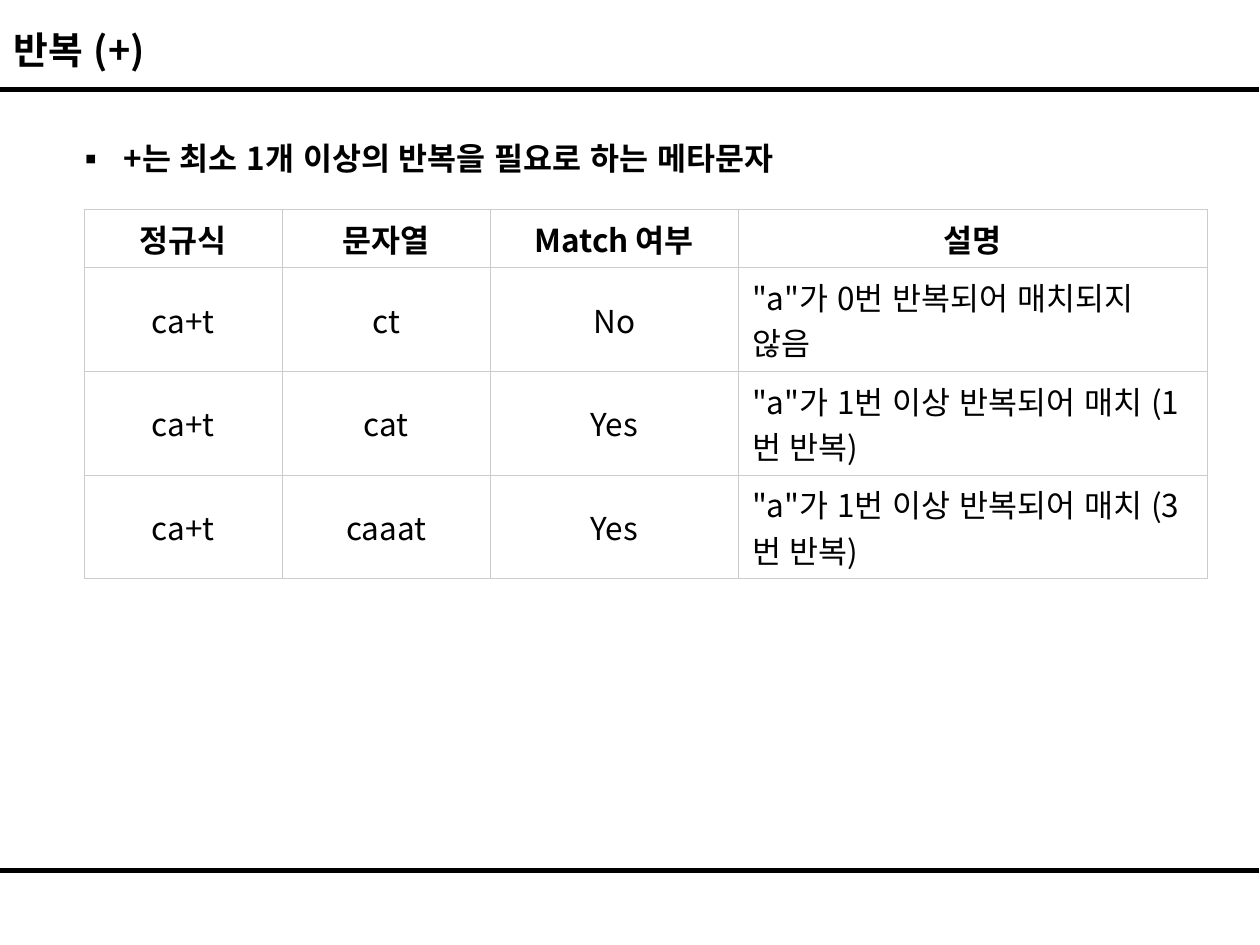
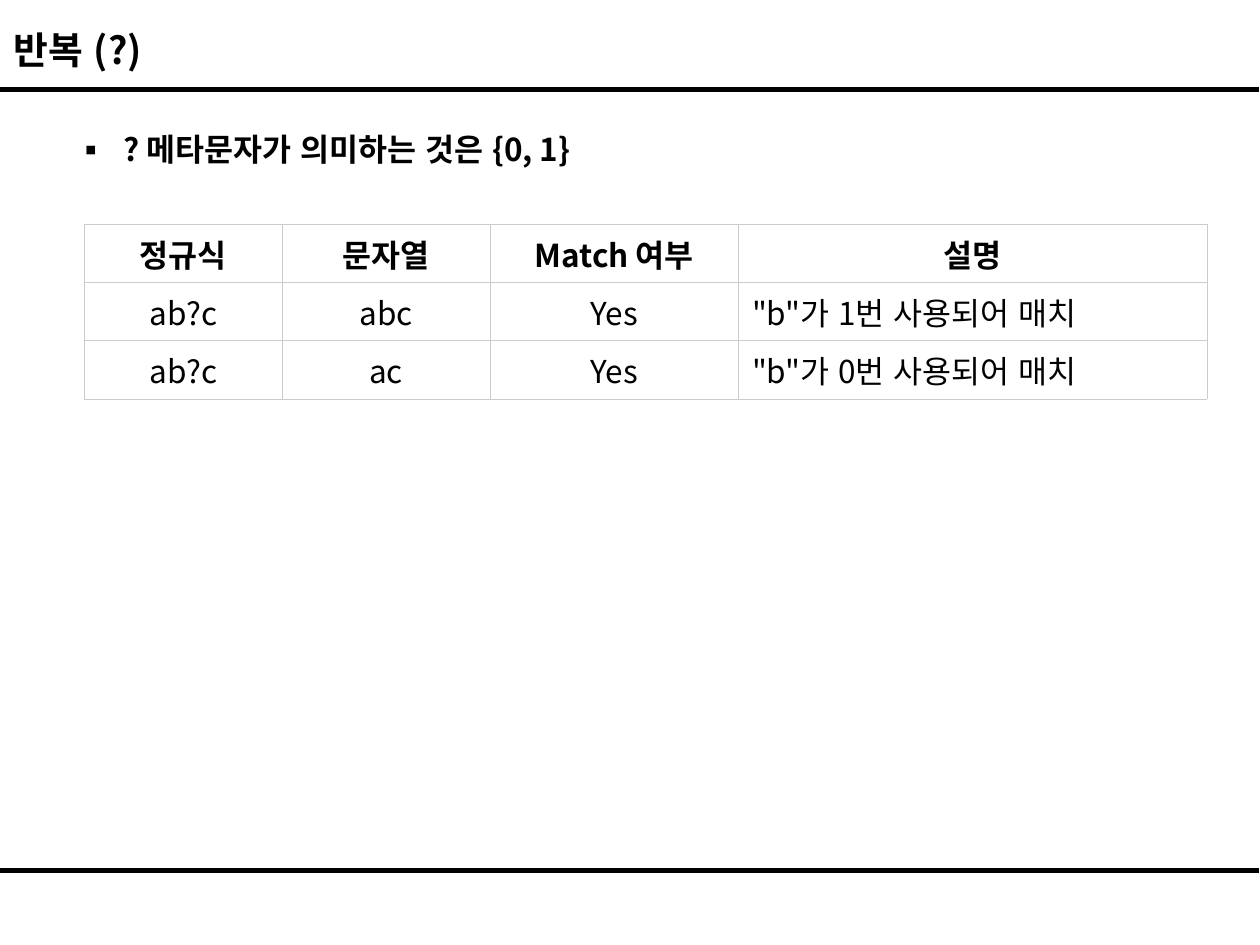
import pptx
import pptx.util
import pptx.dml.color
import pptx.enum.lang
import pptx.enum.shapes
import pptx.enum.text
import pptx.oxml
import pptx.oxml.ns
from lxml import etree

SLIDE_WIDTH = pptx.util.Inches(10)
SLIDE_HEIGHT = pptx.util.Inches(7.5)
FONT = "Noto Sans CJK KR"
COLOURS = {"ink": "000000", "paper": "FFFFFF", "grid": "CCCCCC"}
TITLE_SIZE, TEXT_SIZE = 21.6, 18
RULE_WIDTH, GRID_WIDTH = 2.75, 0.6

# Places and sizes are percentages of the slide's width or height.
RULE_TOPS = (9.47, 92.13)
TABLE_LEFT = 6.7
COLUMN_WIDTHS = (15.7, 16.5, 19.7, 37.2)
CELL_PADDING, LINE_HEIGHT = 1.3, 4.83

HEADERS = ("정규식", "문자열", "Match 여부", "설명")
TOPICS = [
    {
        "title": "반복 (+)",
        "point": "+는 최소 1개 이상의 반복을 필요로 하는 메타문자",
        "point_top": 13.2,
        "table_top": 22.13,
        "lines_per_row": 2,
        "matches": [
            ("ca+t", "ct", "No", '"a"가 0번 반복되어 매치되지 않음'),
            ("ca+t", "cat", "Yes", '"a"가 1번 이상 반복되어 매치 (1번 반복)'),
            ("ca+t", "caaat", "Yes", '"a"가 1번 이상 반복되어 매치 (3번 반복)'),
        ],
    },
    {
        "title": "반복 (?)",
        "point": "? 메타문자가 의미하는 것은 {0, 1}",
        "point_top": 12.27,
        "table_top": 23.73,
        "lines_per_row": 1,
        "matches": [
            ("ab?c", "abc", "Yes", '"b"가 1번 사용되어 매치'),
            ("ab?c", "ac", "Yes", '"b"가 0번 사용되어 매치'),
        ],
    },
]


def across(percent):
    return round(SLIDE_WIDTH * percent / 100)


def down(percent):
    return round(SLIDE_HEIGHT * percent / 100)


def colour(name):
    return pptx.dml.color.RGBColor.from_string(COLOURS[name])


def set_all(target, values):
    for attribute, value in values.items():
        setattr(target, attribute, value)


def add_xml(parent, tag, **attributes):
    child = etree.SubElement(parent, pptx.oxml.ns.qn(tag))
    for key, value in attributes.items():
        child.set(key, value)
    return child


def write(frame, text, size=TEXT_SIZE, bold=True, align="LEFT"):
    """Fill a text frame with one formatted line and return its paragraph."""
    paragraph = frame.paragraphs[0]
    paragraph.alignment = getattr(pptx.enum.text.PP_ALIGN, align)
    run = paragraph.add_run()
    run.text = text
    set_all(run.font, {
        "name": FONT,
        "size": pptx.util.Pt(size),
        "bold": bold,
        "language_id": pptx.enum.lang.MSO_LANGUAGE_ID.KOREAN,
    })
    run.font.color.rgb = colour("ink")
    # Hangul takes the East Asian typeface, which follows the Latin one.
    add_xml(run.font._element, "a:ea", typeface=FONT)
    return paragraph


def place(placeholder, left, top, width, height, anchor):
    set_all(placeholder, {
        "left": across(left), "top": down(top),
        "width": across(width), "height": down(height),
    })
    set_all(placeholder.text_frame, {
        "auto_size": pptx.enum.text.MSO_AUTO_SIZE.NONE,
        "vertical_anchor": anchor,
        "word_wrap": True,
    })


def add_rules(slide):
    for top in RULE_TOPS:
        rule = slide.shapes.add_connector(
            pptx.enum.shapes.MSO_CONNECTOR.STRAIGHT,
            across(-0.1), down(top), across(99.9), down(top))
        rule.line.color.rgb = colour("ink")
        rule.line.width = pptx.util.Pt(RULE_WIDTH)
        add_xml(rule._element.spPr, "a:effectLst")


def add_title(slide, text):
    title = slide.shapes.title
    place(title, 0.1, 2.13, 98.8, 6.13, pptx.enum.text.MSO_ANCHOR.MIDDLE)
    write(title.text_frame, text, size=TITLE_SIZE)


def add_point(slide, text, top):
    body = slide.placeholders[1]
    place(body, 5, top, 90, 19.33, pptx.enum.text.MSO_ANCHOR.TOP)
    point = write(body.text_frame, text)
    point.line_spacing = 1.2
    properties = point._p.get_or_add_pPr()
    indent = across(3.8)
    properties.set("marL", str(indent))
    properties.set("indent", str(-indent))
    add_xml(properties, "a:buFont", typeface=FONT)
    add_xml(properties, "a:buChar", char="▪")


def format_cell(cell):
    properties = cell._tc.get_or_add_tcPr()
    for side in ("a:lnL", "a:lnR", "a:lnT", "a:lnB"):
        border = add_xml(properties, side, w=str(pptx.util.Pt(GRID_WIDTH)))
        add_xml(add_xml(border, "a:solidFill"), "a:srgbClr", val=COLOURS["grid"])
    cell.fill.solid()
    cell.fill.fore_color.rgb = colour("paper")
    set_all(cell, {
        "vertical_anchor": pptx.enum.text.MSO_ANCHOR.MIDDLE,
        "margin_left": pptx.util.Inches(0.11),
        "margin_right": pptx.util.Inches(0.11),
        "margin_top": pptx.util.Inches(0.05),
        "margin_bottom": pptx.util.Inches(0.05),
    })


def add_match_table(slide, matches, top, lines_per_row):
    rows = [HEADERS, *matches]
    heights = [down(CELL_PADDING + LINE_HEIGHT * lines)
               for lines in [1] + [lines_per_row] * len(matches)]
    table = slide.shapes.add_table(
        len(rows), len(HEADERS), across(TABLE_LEFT), down(top),
        across(sum(COLUMN_WIDTHS)), sum(heights)).table
    set_all(table, {"first_row": False, "horz_banding": False})
    for column, width in zip(table.columns, COLUMN_WIDTHS):
        column.width = across(width)
    for row, height in zip(table.rows, heights):
        row.height = height
    for row_number, texts in enumerate(rows):
        is_header = row_number == 0
        for column_number, text in enumerate(texts):
            cell = table.cell(row_number, column_number)
            format_cell(cell)
            is_description = HEADERS[column_number] == "설명" and not is_header
            write(cell.text_frame, text, bold=is_header,
                  align="LEFT" if is_description else "CENTER")


def main():
    deck = pptx.Presentation()
    set_all(deck, {"slide_width": SLIDE_WIDTH, "slide_height": SLIDE_HEIGHT})
    for topic in TOPICS:
        slide = deck.slides.add_slide(deck.slide_layouts[1])
        add_rules(slide)
        add_title(slide, topic["title"])
        add_point(slide, topic["point"], topic["point_top"])
        add_match_table(slide, topic["matches"], topic["table_top"],
                        topic["lines_per_row"])
    deck.save("out.pptx")


if __name__ == "__main__":
    main()
